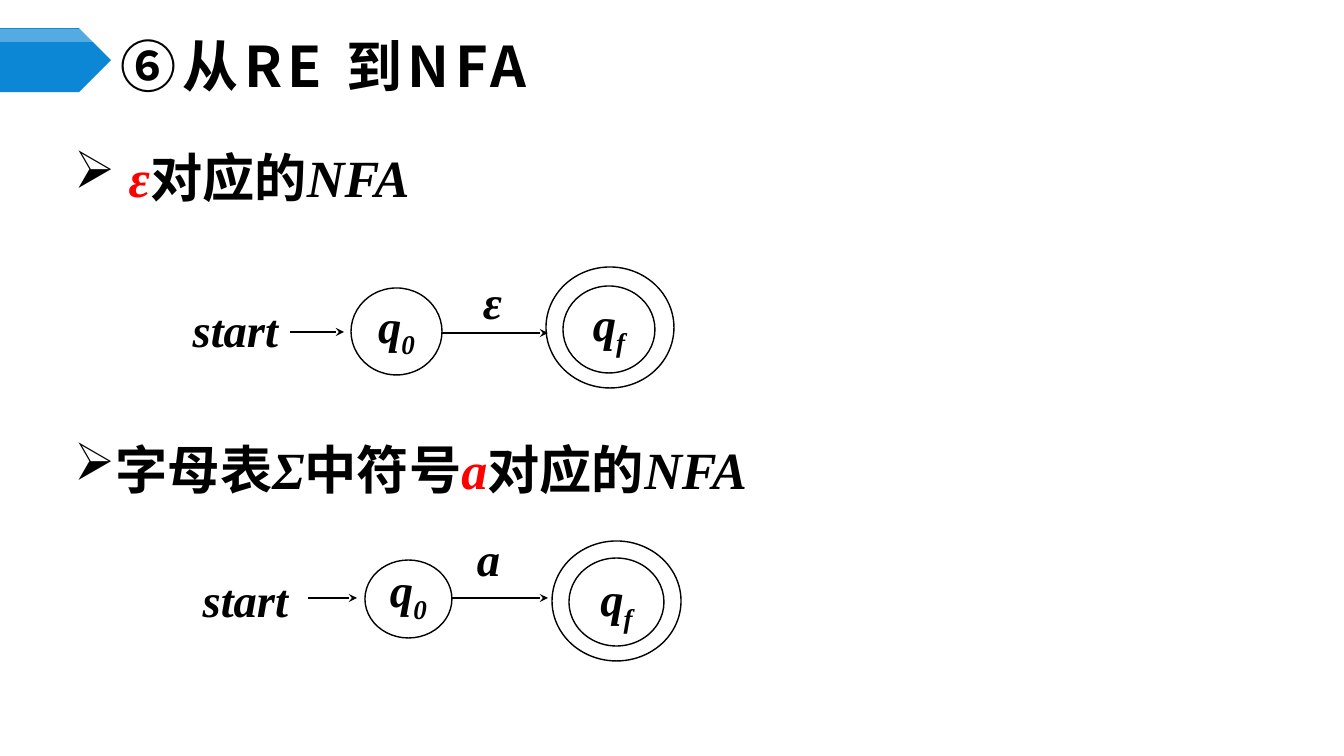
import dataclasses

import pptx
import pptx.dml.color
import pptx.enum.shapes
import pptx.enum.text
import pptx.oxml
import pptx.oxml.ns
import pptx.util

SHAPE = pptx.enum.shapes.MSO_SHAPE
ANCHOR = pptx.enum.text.MSO_ANCHOR
ALIGN = pptx.enum.text.PP_ALIGN
PX = 914400 / 100.8


@dataclasses.dataclass(frozen=True)
class Theme:
    ink: str = "000000"
    accent: str = "FF0000"
    banner: str = "0B87D6"
    paper: str = "FFFFFF"
    sans: str = "Noto Sans CJK SC"
    serif: str = "Times New Roman"
    title: float = 40
    body: float = 37.3
    state: float = 33.3
    outline: float = 1
    arrow: float = 2


def px(length):
    return pptx.util.Emu(round(length * PX))


def color(value):
    return pptx.dml.color.RGBColor.from_string(value)


def add_xml(parent, tag, **attributes):
    child = pptx.oxml.parse_xml(f'<a:{tag} {pptx.oxml.ns.nsdecls("a")}/>')
    for name, value in attributes.items():
        child.set(name, str(value))
    parent.append(child)
    return child


class SlideBuilder:
    def __init__(self, slide, theme):
        self.slide = slide
        self.theme = theme

    def span(self, para, text, size, font=None, ink=None, italic=False, **attributes):
        """Add one bold run; attributes go straight onto its properties."""
        span = para.add_run()
        span.text = text
        span.font.size = pptx.util.Pt(size)
        span.font.bold = True
        span.font.italic = italic
        span.font.color.rgb = color(ink or self.theme.ink)
        span.font.name = font or self.theme.serif
        properties = span._r.get_or_add_rPr()
        add_xml(properties, "ea", typeface=self.theme.sans)
        for name, value in attributes.items():
            properties.set(name, str(value))

    def frame(self, shape, anchor, wrap=False, align=ALIGN.CENTER, side=0, edge=2):
        """Set up a shape's text frame and return its first paragraph."""
        frame = shape.text_frame
        frame.word_wrap = wrap
        frame.vertical_anchor = anchor
        frame.margin_left = frame.margin_right = px(side)
        frame.margin_top = frame.margin_bottom = px(edge)
        para = frame.paragraphs[0]
        para.alignment = align
        return para

    def text_box(self, box, anchor, **layout):
        shape = self.slide.shapes.add_textbox(*map(px, box))
        return self.frame(shape, anchor, **layout)

    def title(self, box, text):
        para = self.text_box(box, ANCHOR.MIDDLE, wrap=True, align=ALIGN.LEFT, side=10)
        self.span(para, text, self.theme.title, font=self.theme.sans, spc=400)

    def bullet(self, box, parts):
        """Add a bulleted line from (text, ink, italic) parts."""
        para = self.text_box(box, ANCHOR.TOP, wrap=True, align=ALIGN.LEFT, side=10, edge=0)
        properties = para._p.get_or_add_pPr()
        properties.set("marL", str(px(40)))
        properties.set("indent", str(px(-40)))
        add_xml(properties, "buChar", char="➢")
        for text, ink, italic in parts:
            self.span(para, text, self.theme.body, ink=ink, italic=italic)

    def label(self, box, text):
        para = self.text_box(box, ANCHOR.MIDDLE)
        self.span(para, text, self.theme.state, italic=True)

    def shape(self, kind, box, fill=None, line=None, alpha=None):
        shape = self.slide.shapes.add_shape(kind, *map(px, box))
        shape.shadow.inherit = False
        if fill:
            shape.fill.solid()
            shape.fill.fore_color.rgb = color(fill)
            if alpha:
                value = shape.fill._xPr.find(".//" + pptx.oxml.ns.qn("a:srgbClr"))
                add_xml(value, "alpha", val=alpha * 1000)
        else:
            shape.fill.background()
        if line:
            shape.line.color.rgb = color(line)
            shape.line.width = pptx.util.Pt(self.theme.outline)
        else:
            shape.line.fill.background()
        return shape

    def state(self, box, subscript, anchor):
        circle = self.shape(SHAPE.OVAL, box, self.theme.paper, self.theme.ink)
        para = self.frame(circle, anchor)
        self.span(para, "q", self.theme.state, italic=True)
        self.span(para, subscript, self.theme.state, italic=True, baseline=-25000)

    def arrow(self, left, right, y):
        arrow = self.slide.shapes.add_connector(
            pptx.enum.shapes.MSO_CONNECTOR.STRAIGHT, px(left), px(y), px(right), px(y))
        arrow.line.color.rgb = color(self.theme.ink)
        arrow.line.width = pptx.util.Pt(self.theme.arrow)
        add_xml(arrow.line._get_or_add_ln(), "tailEnd", type="stealth")
        add_xml(arrow._element.spPr, "effectLst")

    def automaton(self, symbol, start, entry, first, edge, symbol_box, final, ring, final_anchor):
        """Draw start -> q0 -symbol-> qf, with a ring around the final state."""
        self.state(first, "0", ANCHOR.BOTTOM)
        self.arrow(*edge)
        self.label(symbol_box, symbol)
        self.state(final, "f", final_anchor)
        self.label(start, "start")
        self.arrow(*entry)
        self.shape(SHAPE.OVAL, ring, line=self.theme.ink)


def main():
    theme = Theme()
    deck = pptx.Presentation()
    deck.slide_width, deck.slide_height = px(1344), px(756)
    builder = SlideBuilder(deck.slides.add_slide(deck.slide_layouts[6]), theme)

    builder.bullet((64, 145, 1132, 76), [
        (" ", theme.ink, False), ("ε", theme.accent, True),
        ("对应的", theme.ink, False), ("NFA", theme.ink, True)])
    builder.bullet((64, 437, 1132, 76), [
        ("字母表", theme.ink, False), ("Σ", theme.ink, True),
        ("中符号", theme.ink, False), ("a", theme.accent, True),
        ("对应的", theme.ink, False), ("NFA", theme.ink, True)])
    builder.title((111, 39, 1165, 52), "⑥从RE 到NFA")

    builder.automaton(
        "ε", start=(182, 294, 107, 70), entry=(290, 344, 332),
        first=(351, 288, 91, 87), edge=(442, 548, 333), symbol_box=(439, 266, 107, 70),
        final=(563, 286, 92, 87), ring=(546, 267, 128, 121), final_anchor=ANCHOR.BOTTOM)
    builder.automaton(
        "a", start=(197, 576, 97, 45), entry=(308, 357, 598),
        first=(365, 560, 87, 78), edge=(452, 548, 598), symbol_box=(440, 535, 97, 45),
        final=(569, 558, 95, 88), ring=(552, 541, 129, 120), final_anchor=ANCHOR.MIDDLE)

    builder.shape(SHAPE.PENTAGON, (0, 28, 111, 64), theme.banner)
    builder.shape(SHAPE.PENTAGON, (0, 29, 111, 13), theme.paper, alpha=30)
    deck.save("out.pptx")


if __name__ == "__main__":
    main()
